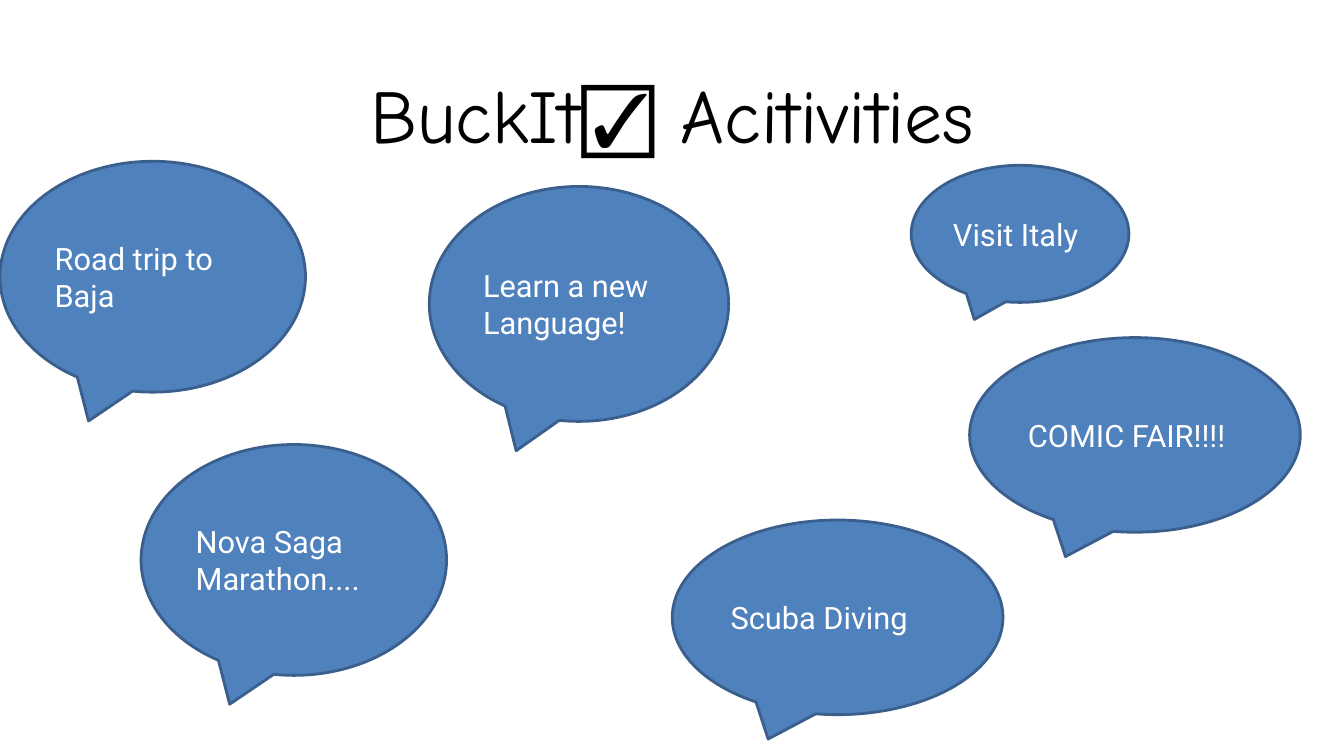
from pptx import Presentation
from pptx.dml.color import RGBColor
from pptx.enum import shapes, text
from pptx.util import Pt

BLACK = RGBColor(0x00, 0x00, 0x00)
WHITE = RGBColor(0xFF, 0xFF, 0xFF)
BLUE = RGBColor(0x4F, 0x81, 0xBD)
NAVY = RGBColor(0x3A, 0x5F, 0x8C)

LARGE = (218.2, 164.9)
WIDE = (236.2, 139)

# words, left, top, (width, height)
IDEAS = [
    ("Learn a new Language!", 306.7, 133.2, (213.8, 167.8)),
    ("Visit Italy", 650.9, 118.1, (155.5, 97.9)),
    ("Road trip to Baja", 0, 115.2, LARGE),
    ("Scuba Diving", 480.2, 371.5, WIDE),
    ("COMIC FAIR!!!!", 692.6, 241.2, WIDE),
    ("Nova Saga Marathon....", 100.8, 317.5, LARGE),
]


def write(shape, words, font, size, color, align=text.PP_ALIGN.LEFT):
    """Add a run to the shape's first paragraph, centred vertically."""
    frame = shape.text_frame
    frame.word_wrap = True
    frame.auto_size = text.MSO_AUTO_SIZE.NONE
    frame.vertical_anchor = text.MSO_ANCHOR.MIDDLE
    para = frame.paragraphs[0]
    para.alignment = align
    run = para.add_run()
    run.text = words
    run.font.name = font
    run.font.size = Pt(size)
    run.font.color.rgb = color


deck = Presentation()
deck.slide_width, deck.slide_height = Pt(960), Pt(540)
slide = deck.slides.add_slide(deck.slide_layouts[5])

title = slide.shapes.title
title.left, title.top = Pt(66.2), Pt(28.8)
title.width, title.height = Pt(828), Pt(104.4)
for words, font in [("BuckIt", "Comic Neue"), ("☑", "Arial"),
                    (" Acitivities", "Comic Neue")]:
    write(title, words, font=font, size=54, color=BLACK,
          align=text.PP_ALIGN.CENTER)

for words, left, top, (width, height) in IDEAS:
    bubble = slide.shapes.add_shape(
        shapes.MSO_SHAPE.OVAL_CALLOUT,
        Pt(left), Pt(top), Pt(width), Pt(height))
    bubble.adjustments[0] = -0.21
    bubble.adjustments[1] = 0.625
    bubble.shadow.inherit = False
    bubble.fill.solid()
    bubble.fill.fore_color.rgb = BLUE
    bubble.line.color.rgb = NAVY
    bubble.line.width = Pt(2)
    write(bubble, words, font="Roboto", size=22, color=WHITE)

deck.save("out.pptx")
